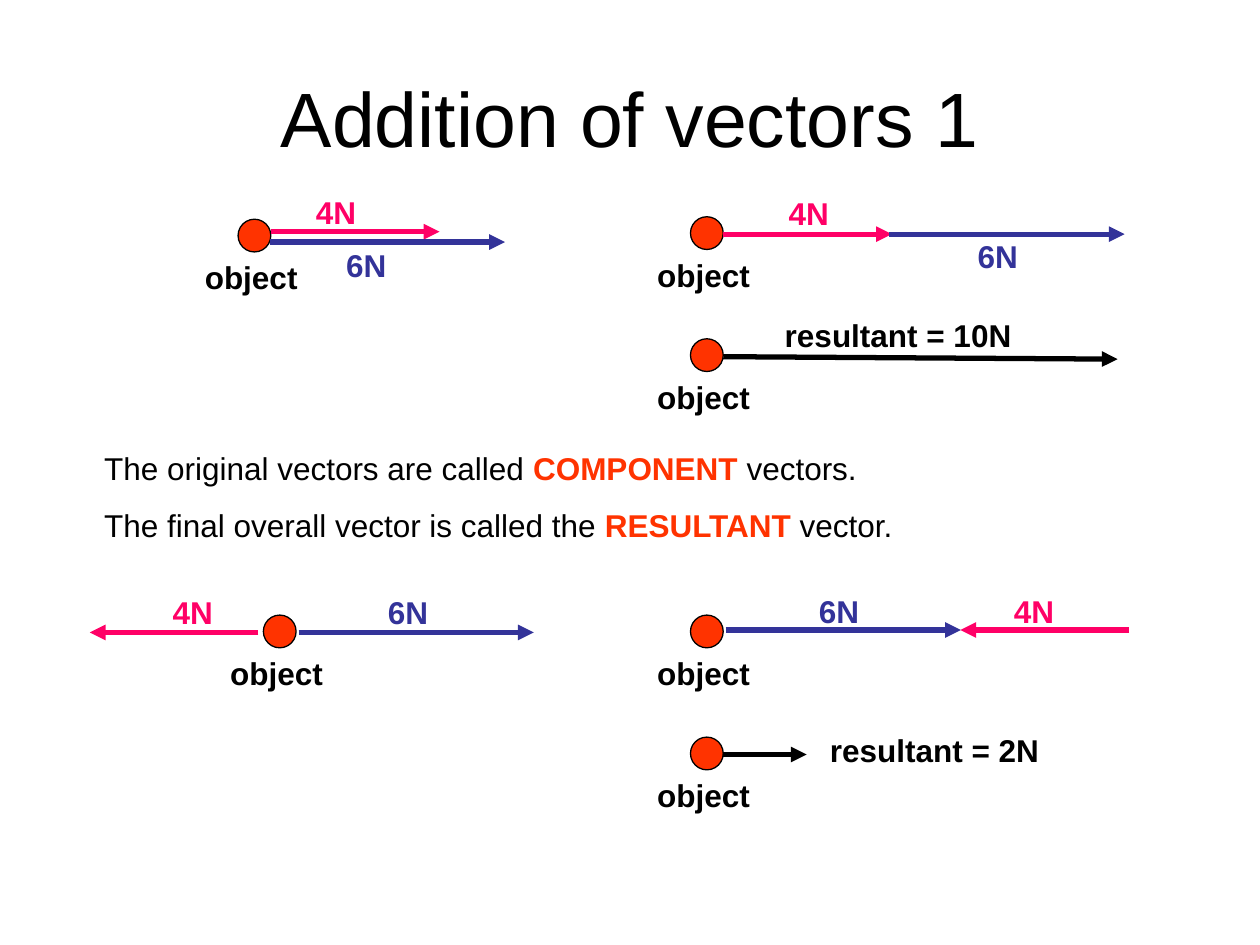
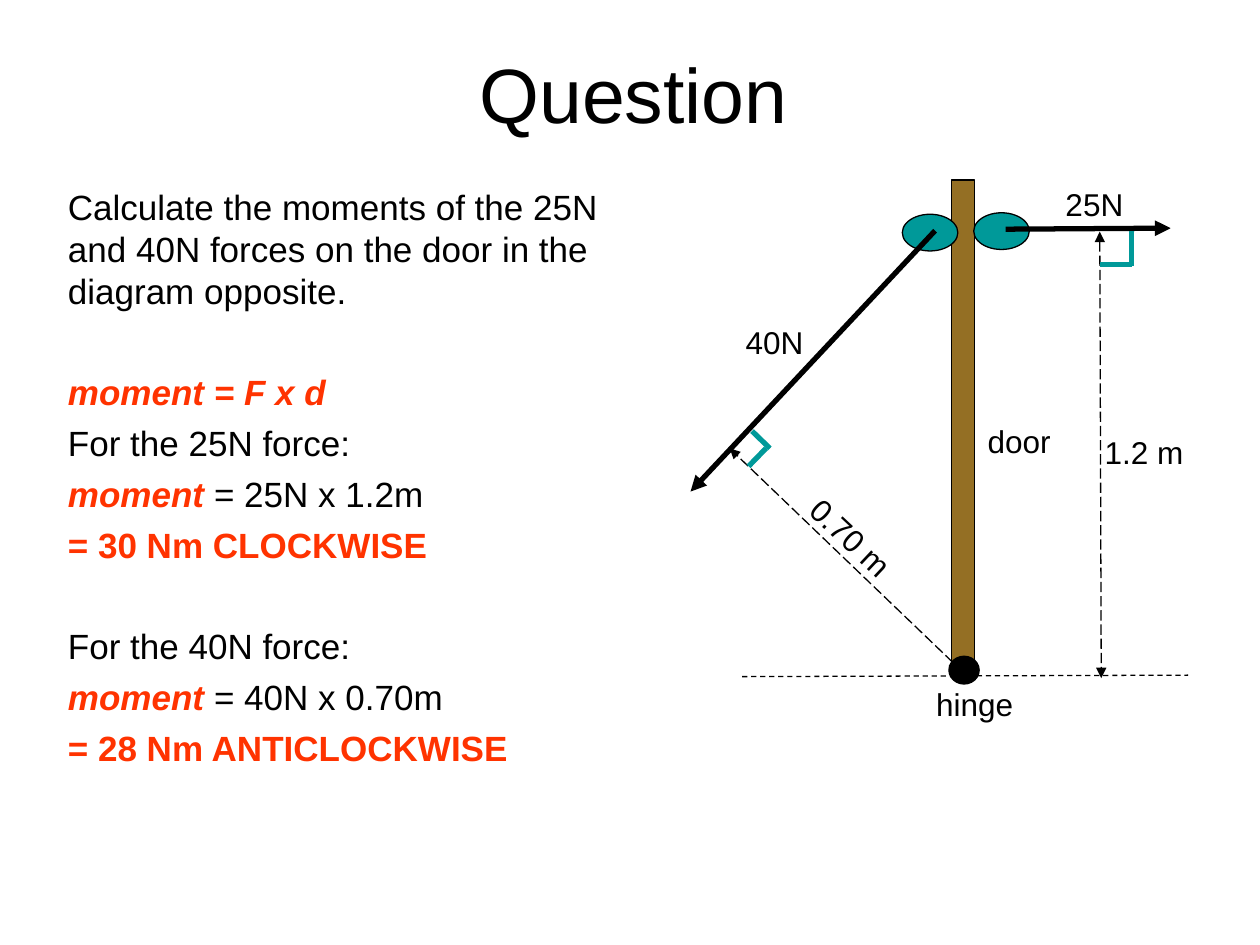
from lxml.etree import SubElement
from pptx import Presentation
from pptx.dml.color import RGBColor
from pptx.enum.dml import MSO_LINE
from pptx.enum.shapes import MSO_CONNECTOR, MSO_SHAPE
from pptx.enum.text import MSO_ANCHOR, PP_ALIGN
from pptx.oxml.ns import qn
from pptx.util import Cm, Pt

# Shared look
FONT = "Arial"
BLACK, RED, PINK, BLUE = "000000", "FF3300", "FF0066", "333399"
BROWN, TEAL = "946F24", "009999"
LABEL_HEIGHT = 1.02
BALL_SIZE = 0.66

# Colour and arrow length of each force
FORCES = {"4N": (PINK, 3.4), "6N": (BLUE, 4.74)}

# Text styles: colour, bold, italic
STYLES = {
    "plain": (BLACK, False, False),
    "key": (RED, True, False),
    "formula": (RED, True, True),
}


def colour(hex_string):
    return RGBColor.from_string(hex_string)


def format_span(span, size, hex_string=BLACK, bold=False, italic=False):
    span.font.name = FONT
    span.font.size = Pt(size)
    span.font.color.rgb = colour(hex_string)
    span.font.bold = bold
    span.font.italic = italic


def add_box(page, left, top, width, height):
    box = page.shapes.add_textbox(Cm(left), Cm(top), Cm(width), Cm(height))
    box.text_frame.word_wrap = True
    return box


def add_title(page, text, width, height):
    frame = add_box(page, 1.27, 0.76, width, height).text_frame
    frame.text = text
    frame.vertical_anchor = MSO_ANCHOR.MIDDLE
    para = frame.paragraphs[0]
    para.alignment = PP_ALIGN.CENTER
    format_span(para.runs[0], 44)


def add_label(page, text, left, top, width, hex_string=BLACK, bold=False):
    box = add_box(page, left, top, width, LABEL_HEIGHT)
    box.text_frame.text = text
    format_span(box.text_frame.paragraphs[0].runs[0], 18, hex_string, bold)
    return box


def add_paragraphs(page, area, size, paragraphs):
    """Each paragraph is its space before and a list of (text, style) spans."""
    frame = add_box(page, *area).text_frame
    for index, (space, spans) in enumerate(paragraphs):
        para = frame.add_paragraph() if index else frame.paragraphs[0]
        para.space_before = Pt(space)
        for text, style in spans:
            span = para.add_run()
            span.text = text
            format_span(span, size, *STYLES[style])


def add_solid(page, kind, left, top, width, height, fill):
    solid = page.shapes.add_shape(kind, Cm(left), Cm(top), Cm(width), Cm(height))
    solid.shadow.inherit = False
    solid.fill.solid()
    solid.fill.fore_color.rgb = colour(fill)
    solid.line.color.rgb = colour(BLACK)
    solid.line.width = Pt(0.75)


def add_line(page, start, end, hex_string=BLACK, width=3, dash=None, arrows=()):
    """Arrows names the line ends that carry a head: headEnd, tailEnd."""
    points = [Cm(value) for value in (*start, *end)]
    line = page.shapes.add_connector(MSO_CONNECTOR.STRAIGHT, *points)
    line.line.color.rgb = colour(hex_string)
    line.line.width = Pt(width)
    if dash:
        line.line.dash_style = dash
    properties = line._element.spPr
    for arrow in arrows:
        SubElement(properties.find(qn("a:ln")), qn(f"a:{arrow}"), type="triangle")
    SubElement(properties, qn("a:effectLst"))


def add_arrow(page, start, end, hex_string=BLACK):
    add_line(page, start, end, hex_string, arrows=["tailEnd"])


def add_object(page, left, top):
    add_solid(page, MSO_SHAPE.OVAL, left, top, BALL_SIZE, BALL_SIZE, RED)
    add_label(page, "object", left - 0.92, top + BALL_SIZE, 2.64, bold=True)


def add_force(page, name, x, y, label_left, label_top, direction=1):
    hex_string, length = FORCES[name]
    add_arrow(page, (x, y), (x + direction * length, y), hex_string)
    add_label(page, name, label_left, label_top, 1.47, hex_string, True)


def add_resultant(page, text, start, end, label_left, label_top):
    add_arrow(page, start, end)
    add_label(page, text, label_left, label_top, 5.56, bold=True)


def build_vectors(page):
    add_title(page, "Addition of vectors 1", 22.86, 3.18)
    add_paragraphs(page, (1.85, 8.92, 21.79, 2.18), 18, [
        (11.2, [("The original vectors are called ", "plain"),
                ("COMPONENT", "key"), (" vectors.", "plain")]),
        (11.2, [("The final overall vector is called the ", "plain"),
                ("RESULTANT", "key"), (" vector.", "plain")]),
    ])

    for left, top in [(4.8, 4.42), (13.92, 4.37), (13.92, 6.83),
                      (5.31, 12.4), (13.92, 12.4), (13.92, 14.86)]:
        add_object(page, left, top)

    # Forces in the same direction
    add_force(page, "4N", 5.46, 4.67, 6.12, 3.76)
    add_force(page, "6N", 5.44, 4.88, 6.73, 4.83)
    add_force(page, "4N", 14.58, 4.72, 15.65, 3.78)
    add_force(page, "6N", 17.93, 4.72, 19.46, 4.65)
    add_resultant(page, "resultant = 10N", (14.58, 7.19), (22.53, 7.24), 15.57, 6.25)

    # Forces in opposite directions
    add_force(page, "4N", 5.21, 12.75, 3.23, 11.84, direction=-1)
    add_force(page, "6N", 6.02, 12.75, 7.57, 11.84)
    add_force(page, "4N", 22.76, 12.7, 20.19, 11.81, direction=-1)
    add_force(page, "6N", 14.63, 12.7, 16.26, 11.81)
    add_resultant(page, "resultant = 2N", (14.58, 15.21), (16.26, 15.21), 16.48, 14.61)


def build_question(page):
    add_title(page, "Question", 23.01, 2.21)

    # Worked answer, with a wide gap before each new part
    gap, part_gap = 5, 34
    add_paragraphs(page, (1.12, 3.61, 12.47, 13.08), 20, [
        (gap, [("Calculate the moments of the 25N and 40N forces on the door "
                "in the diagram opposite.", "plain")]),
        (part_gap, [("moment = F x d", "formula")]),
        (gap, [("For the 25N force:", "plain")]),
        (gap, [("moment", "formula"), (" = 25N x 1.2m", "plain")]),
        (gap, [("= 30 Nm CLOCKWISE", "key")]),
        (part_gap, [("For the 40N force:", "plain")]),
        (gap, [("moment", "formula"), (" = 40N x 0.70m", "plain")]),
        (gap, [("= 28 Nm ANTICLOCKWISE", "key")]),
    ])

    # Door, hinge and two knobs
    add_solid(page, MSO_SHAPE.RECTANGLE, 19.18, 3.63, 0.46, 9.75, BROWN)
    add_solid(page, MSO_SHAPE.OVAL, 19.13, 13.23, 0.61, 0.56, BLACK)
    for left, top in [(18.19, 4.32), (19.63, 4.29)]:
        add_solid(page, MSO_SHAPE.OVAL, left, top, 1.12, 0.74, TEAL)

    # Floor, forces and their distances from the hinge
    add_line(page, (14.96, 13.64), (23.95, 13.61), width=0.75, dash=MSO_LINE.DASH)
    add_arrow(page, (18.85, 4.65), (13.92, 9.91))
    add_arrow(page, (20.27, 4.62), (23.6, 4.6))
    for start, end in [((22.17, 4.67), (22.2, 13.67)), ((19.35, 13.49), (14.71, 9.04))]:
        add_line(page, start, end, width=0.75, dash=MSO_LINE.LONG_DASH,
                 arrows=["headEnd", "tailEnd"])

    # Right-angle marks
    for start, end in [((15.16, 8.69), (15.52, 9.04)), ((15.44, 9.04), (15.09, 9.4)),
                       ((22.17, 5.33), (22.83, 5.33)), ((22.81, 5.36), (22.81, 4.65))]:
        add_line(page, start, end, TEAL)

    # Labels
    for text, left, top, width in [("hinge", 18.62, 13.69, 3), ("door", 19.66, 8.38, 2.3),
                                   ("40N", 14.78, 6.38, 1.8), ("25N", 21.23, 3.61, 1.83),
                                   ("1.2 m", 22.02, 8.61, 2.18)]:
        add_label(page, text, left, top, width)
    add_label(page, "0.70 m", 15.9, 10.41, 2.69).rotation = 43.2


def main():
    deck = Presentation()
    deck.slide_width, deck.slide_height = Cm(25.4), Cm(19.05)
    blank = deck.slide_layouts[6]
    for build in (build_vectors, build_question):
        build(deck.slides.add_slide(blank))
    deck.save("out.pptx")


if __name__ == "__main__":
    main()
